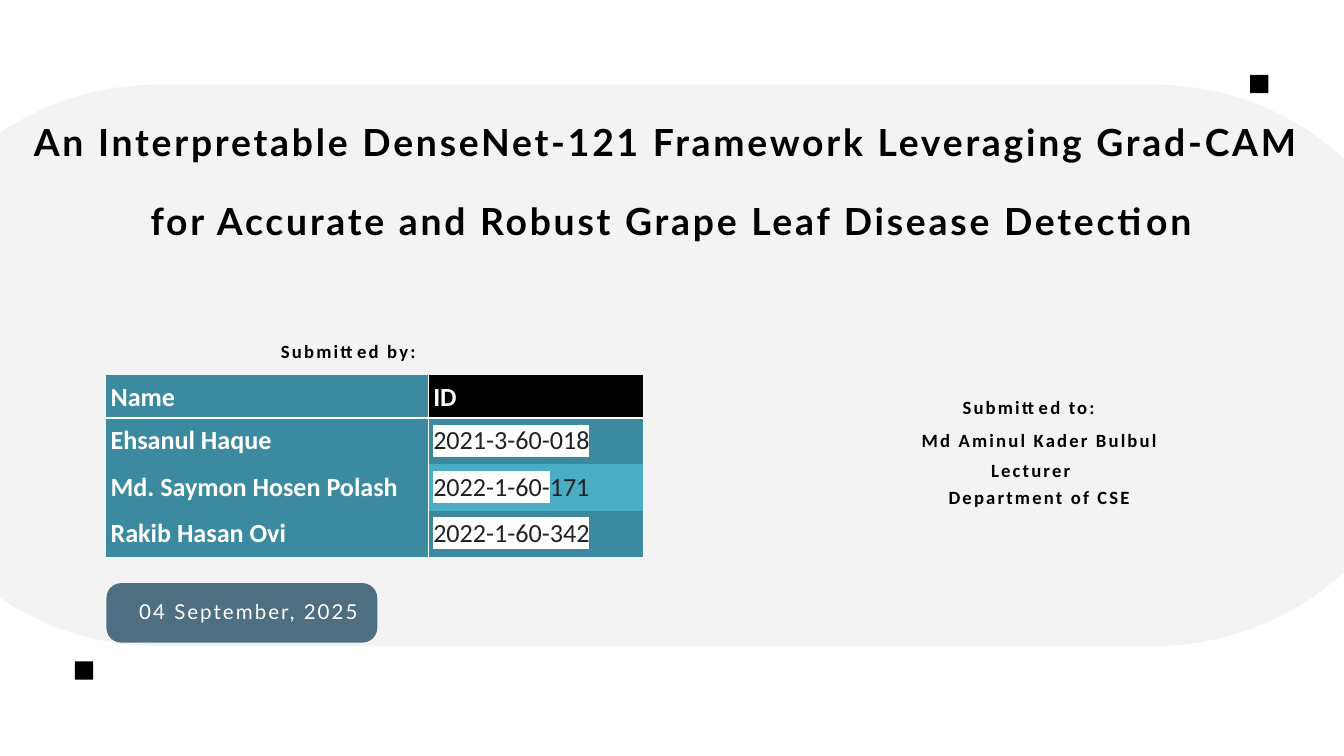
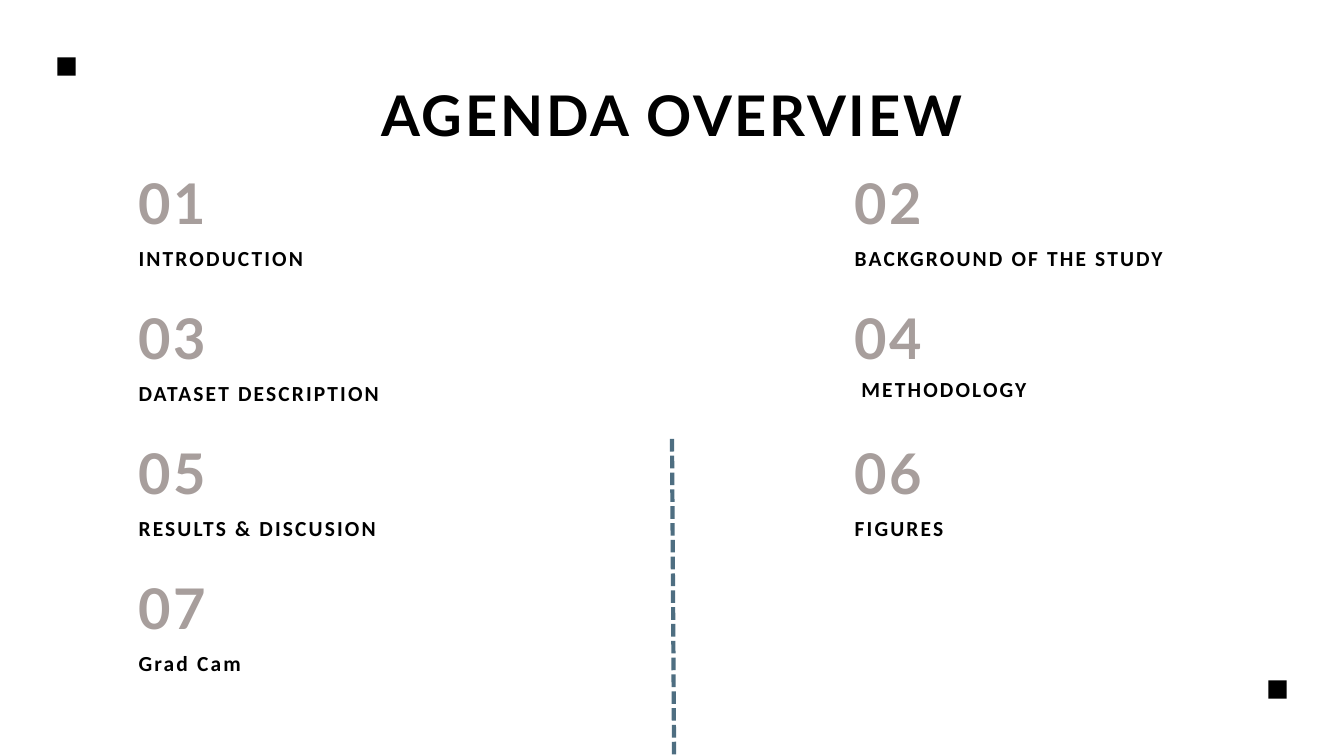
import dataclasses

import lxml.etree
import pptx
import pptx.dml.color
import pptx.enum.dml
import pptx.enum.shapes
import pptx.enum.text
import pptx.oxml.ns
import pptx.presentation
import pptx.shapes.autoshape
import pptx.slide
import pptx.table
import pptx.text.text
import pptx.util

EMU_PER_PX = 9525
SLIDE_WIDTH, SLIDE_HEIGHT = 1920, 1080
BLACK, WHITE = "000000", "FFFFFF"
SLATE, TEAL, SKY = "4E6E81", "3C8A9F", "4BACC6"
PANEL_GRAY, NUMBER_GRAY, ID_GRAY = "F2F1F1", "A79E9C", "222222"
HEADING_FONT, BODY_FONT = "Lato", "Calibri"
LEFT = pptx.enum.text.PP_ALIGN.LEFT
CENTER = pptx.enum.text.PP_ALIGN.CENTER
PLAIN_TABLE_STYLE = "{2D5ABB26-0587-4C30-8999-92F81FD0307C}"
MARKER_SIZE = 26
HEADING = dict(font=HEADING_FONT, bold=True, spacing=3, line_height=84)
BODY = dict(font=BODY_FONT, bold=True, spacing=2.3, line_height=32.2)


@dataclasses.dataclass(frozen=True)
class Box:
    left: int
    top: int
    width: int
    height: int


@dataclasses.dataclass(frozen=True)
class Caption:
    text: str
    left: int
    top: int


@dataclasses.dataclass(frozen=True)
class Student:
    name: str
    marked_id: str
    plain_id: str = ""
    id_fill: str = TEAL


@dataclasses.dataclass(frozen=True)
class AgendaItem:
    label: str
    label_shift: int = 0
    label_width: int = 501
    inset: bool = False


CAPTIONS = [
    Caption("Submitted by:", -160, 470),
    Caption("Submitted to:", 812, 550),
    Caption("Md Aminul Kader Bulbul", 827, 597),
    Caption("Department of CSE", 827, 679),
    Caption("Lecturer", 815, 640),
]
STUDENTS = [
    Student("Ehsanul Haque", "2021-3-60-018"),
    Student("Md. Saymon Hosen Polash", "2022-1-60-", "171", SKY),
    Student("Rakib Hasan Ovi", "2022-1-60-342"),
]
AGENDA = [
    AgendaItem("INTRODUCTION"),
    AgendaItem("BACKGROUND OF THE STUDY"),
    AgendaItem("DATASET DESCRIPTION"),
    AgendaItem("METHODOLOGY", label_shift=-11, label_width=960, inset=True),
    AgendaItem("RESULTS & DISCUSION"),
    AgendaItem("FIGURES"),
    AgendaItem("Grad Cam"),
]


def px(length: int) -> pptx.util.Emu:
    return pptx.util.Emu(length * EMU_PER_PX)


def place(box: Box) -> tuple:
    return px(box.left), px(box.top), px(box.width), px(box.height)


def color(value: str) -> pptx.dml.color.RGBColor:
    return pptx.dml.color.RGBColor.from_string(value)


def add_child(parent, tag: str, **attributes: str):
    return lxml.etree.SubElement(parent, pptx.oxml.ns.qn(tag), attributes)


def set_insets(frame, horizontal: int, vertical: int) -> None:
    frame.margin_left = frame.margin_right = px(horizontal)
    frame.margin_top = frame.margin_bottom = px(vertical)


def add_run(paragraph, text: str, *, size: float, font: str, ink: str = BLACK,
            bold: bool = False, spacing: float = 0, highlight: str = "") -> None:
    run = paragraph.add_run()
    run.text = text
    run.font.size = pptx.util.Pt(size)
    run.font.bold = bold
    run.font.color.rgb = color(ink)
    run.font.name = font
    properties = run.font.fill._xPr
    if spacing:
        properties.set("spc", str(round(spacing * 100)))
    if highlight:
        mark = add_child(properties, "a:highlight")
        add_child(mark, "a:srgbClr", val=highlight)
        properties.find(pptx.oxml.ns.qn("a:solidFill")).addnext(mark)


def add_text(slide: pptx.slide.Slide, box: Box, text: str, *, align=LEFT,
             line_height: float, inset: bool = False, grow: bool = True,
             **run_format) -> pptx.text.text.TextFrame:
    frame = slide.shapes.add_textbox(*place(box)).text_frame
    frame.word_wrap = True
    if grow:
        frame.auto_size = pptx.enum.text.MSO_AUTO_SIZE.SHAPE_TO_FIT_TEXT
    if not inset:
        set_insets(frame, 0, 0)
    for index, line in enumerate(text.split("\n")):
        paragraph = frame.add_paragraph() if index else frame.paragraphs[0]
        paragraph.alignment = align
        paragraph.line_spacing = pptx.util.Pt(line_height)
        add_run(paragraph, line, **run_format)
    return frame


def add_block(slide: pptx.slide.Slide, box: Box, fill: str, rounding: float = 0,
              opacity: int = 100) -> pptx.shapes.autoshape.Shape:
    kinds = pptx.enum.shapes.MSO_SHAPE
    kind = kinds.ROUNDED_RECTANGLE if rounding else kinds.RECTANGLE
    shape = slide.shapes.add_shape(kind, *place(box))
    shape.shadow.inherit = False
    shape.fill.solid()
    shape.fill.fore_color.rgb = color(fill)
    shape.line.fill.background()
    if rounding:
        shape.adjustments[0] = rounding
    if opacity < 100:
        tint = shape.element.spPr.find(".//" + pptx.oxml.ns.qn("a:srgbClr"))
        add_child(tint, "a:alpha", val=str(opacity * 1000))
    return shape


def add_marker(slide: pptx.slide.Slide, left: int, top: int) -> None:
    add_block(slide, Box(left, top, MARKER_SIZE, MARKER_SIZE), BLACK)


def fill_cell(cell, fill: str, borders: tuple[str, ...]):
    set_insets(cell, 7, 7)
    properties = cell._tc.get_or_add_tcPr()
    for border in borders:
        line = add_child(properties, border, w=str(pptx.util.Pt(2)))
        add_child(add_child(line, "a:solidFill"), "a:srgbClr", val=WHITE)
    cell.fill.solid()
    cell.fill.fore_color.rgb = color(fill)
    paragraph = cell.text_frame.paragraphs[0]
    paragraph.line_spacing = 1.06
    paragraph.space_after = pptx.util.Pt(8)
    return paragraph


def add_student_table(slide: pptx.slide.Slide) -> None:
    widths, heights = [461, 306], [58] + [66] * len(STUDENTS)
    box = Box(151, 536, sum(widths), sum(heights))
    table = slide.shapes.add_table(len(heights), len(widths), *place(box)).table
    table._tbl.tblPr.find(pptx.oxml.ns.qn("a:tableStyleId")).text = PLAIN_TABLE_STYLE
    for column, width in zip(table.columns, widths):
        column.width = px(width)
    for row, height in zip(table.rows, heights):
        row.height = px(height)
    label = dict(size=28, font=BODY_FONT, ink=WHITE, bold=True)
    number = dict(size=28, font=BODY_FONT, ink=ID_GRAY)
    add_run(fill_cell(table.cell(0, 0), TEAL, ("a:lnR", "a:lnB")), "Name", **label)
    add_run(fill_cell(table.cell(0, 1), BLACK, ("a:lnB",)), "ID", **label)
    for row, student in enumerate(STUDENTS, 1):
        name = fill_cell(table.cell(row, 0), TEAL, ("a:lnR",))
        add_run(name, student.name, **label)
        identity = fill_cell(table.cell(row, 1), student.id_fill, ())
        add_run(identity, student.marked_id, highlight=WHITE, **number)
        if student.plain_id:
            add_run(identity, student.plain_id, **number)


def add_divider(slide: pptx.slide.Slide) -> None:
    divider = slide.shapes.add_connector(
        pptx.enum.shapes.MSO_CONNECTOR.STRAIGHT,
        px(960), px(627), px(963), px(SLIDE_HEIGHT))
    divider.line.color.rgb = color(SLATE)
    divider.line.width = pptx.util.Pt(4.5)
    divider.line.dash_style = pptx.enum.dml.MSO_LINE.SQUARE_DOT
    add_child(divider.element.spPr, "a:effectLst")


def add_slide(presentation: pptx.presentation.Presentation) -> pptx.slide.Slide:
    slide = presentation.slides.add_slide(presentation.slide_layouts[6])
    slide.background.fill.solid()
    slide.background.fill.fore_color.rgb = color(WHITE)
    return slide


def build_cover(slide: pptx.slide.Slide) -> None:
    add_block(slide, Box(-176, 121, 2226, 802), PANEL_GRAY, rounding=0.5, opacity=80)
    add_marker(slide, 107, 945)
    add_marker(slide, 1786, 107)
    add_block(slide, Box(152, 833, 387, 85), SLATE, rounding=0.25)
    date = add_text(slide, Box(134, 819, 442, 104), "04 September, 2025",
                    align=CENTER, line_height=30.8, grow=False, size=22,
                    font=HEADING_FONT, ink=WHITE, spacing=2.2)
    date.vertical_anchor = pptx.enum.text.MSO_ANCHOR.MIDDLE
    set_insets(date, 6, 6)
    title = ("An Interpretable DenseNet-121 Framework Leveraging Grad-CAM \n"
             "for Accurate and Robust Grape Leaf Disease Detection")
    add_text(slide, Box(-28, 123, 1976, 210), title, align=CENTER, size=40, **HEADING)
    add_student_table(slide)
    for caption in CAPTIONS:
        add_text(slide, Box(caption.left, caption.top, 1315, 50), caption.text,
                 align=CENTER, inset=True, size=20, **BODY)


def build_agenda(slide: pptx.slide.Slide) -> None:
    add_text(slide, Box(198, 99, 1524, 113), "AGENDA OVERVIEW",
             align=CENTER, size=60, **HEADING)
    for index, item in enumerate(AGENDA):
        row, column = divmod(index, 2)
        left, top = 198 + 1023 * column, 224 + 193 * row
        add_text(slide, Box(left, top, 501, 106), f"{index + 1:02}",
                 size=60, ink=NUMBER_GRAY, **HEADING)
        label_box = Box(left, top + 120 + item.label_shift, item.label_width, 41)
        add_text(slide, label_box, item.label, inset=item.inset, size=23, **BODY)
    add_divider(slide)
    add_marker(slide, 1812, 972)
    add_marker(slide, 82, 82)


def main() -> None:
    presentation = pptx.Presentation()
    presentation.slide_width = px(SLIDE_WIDTH)
    presentation.slide_height = px(SLIDE_HEIGHT)
    build_cover(add_slide(presentation))
    build_agenda(add_slide(presentation))
    presentation.save("out.pptx")


if __name__ == "__main__":
    main()
